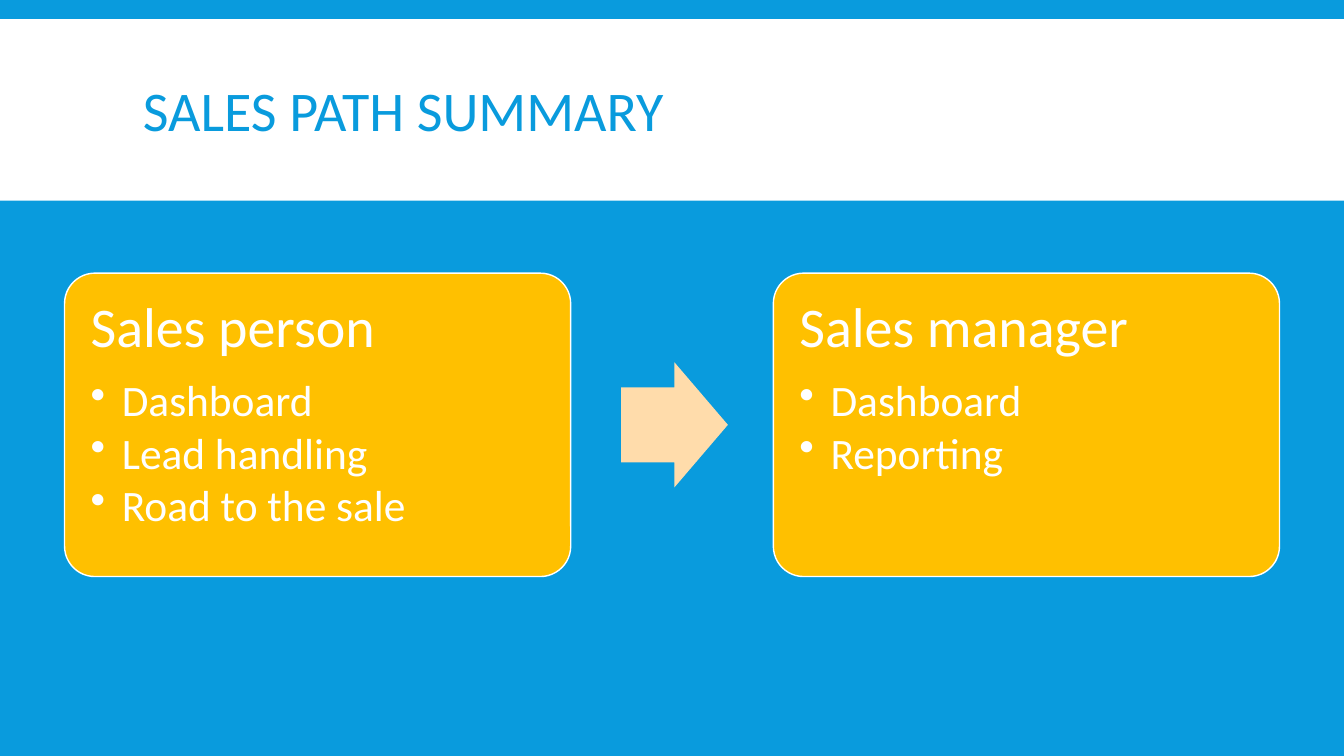
import pptx
import pptx.util
import pptx.dml.color
import pptx.enum.shapes
import pptx.enum.text
from lxml import etree

Inches, Pt = pptx.util.Inches, pptx.util.Pt
KIND = pptx.enum.shapes.MSO_SHAPE
ANCHOR = pptx.enum.text.MSO_ANCHOR
ALIGN = pptx.enum.text.PP_ALIGN

# Content
TITLE = "SALES PATH SUMMARY"
CARDS = [
    ("Sales person", ["Dashboard", "Lead handling", "Road to the sale"]),
    ("Sales manager", ["Dashboard", "Reporting"]),
]
BLUE, WHITE, GOLD, PEACH = "099BDD", "FFFFFF", "FFC000", "FFDCAB"

# Layout in inches
WIDTH, HEIGHT = 13.33, 7.5
CARD_W, CARD_H, TOP = 5.02, 3.01, 2.71
EDGE, STEP = 0.64, 7.03
ARROW_X, ARROW_W, ARROW_H = 6.16, 1.06, 1.24


def color(code):
    return pptx.dml.color.RGBColor.from_string(code)


def add_part(kind, box, fill, line=None, adjust=()):
    part = slide.shapes.add_shape(kind, *map(Inches, box))
    part.shadow.inherit = False
    part.fill.solid()
    part.fill.fore_color.rgb = color(fill)
    if line:
        part.line.color.rgb = color(line)
        part.line.width = Pt(1)
    else:
        part.line.fill.background()
    for i, value in enumerate(adjust):
        part.adjustments[i] = value
    return part


def add_text(frame, text, size=40, ink=WHITE, lead=0.9, after=0, bullet=False):
    first = not frame.paragraphs[0].runs
    para = frame.paragraphs[0] if first else frame.add_paragraph()
    para.alignment = ALIGN.LEFT
    para.line_spacing = lead
    para.space_before = Pt(0)
    para.space_after = Pt(after)
    if bullet:
        para.level = 1
        props = para._p.get_or_add_pPr()
        props.set("marL", str(Inches(0.31)))
        props.set("indent", str(-Inches(0.31)))
        mark = etree.SubElement(props, pptx.oxml.ns.qn("a:buChar"))
        mark.set("char", "•")
    run = para.add_run()
    run.text = text
    run.font.name = "Calibri"
    run.font.size = Pt(size)
    run.font.color.rgb = color(ink)


deck = pptx.Presentation()
deck.slide_width, deck.slide_height = Inches(WIDTH), Inches(HEIGHT)
slide = deck.slides.add_slide(deck.slide_layouts[6])
slide.background.fill.solid()
slide.background.fill.fore_color.rgb = color(BLUE)

# Title band
add_part(KIND.RECTANGLE, (0, 0.19, WIDTH, 1.8), WHITE)
title = slide.shapes.add_textbox(*map(Inches, (1.32, 0.31, 10.7, 1.65))).text_frame
title.word_wrap = True
title.vertical_anchor = ANCHOR.MIDDLE
add_text(title, TITLE, ink=BLUE, lead=0.85)

# Role cards
for i, (role, tasks) in enumerate(CARDS):
    box = (EDGE + i * STEP, TOP, CARD_W, CARD_H)
    card = add_part(KIND.ROUNDED_RECTANGLE, box, GOLD, WHITE, [0.1])
    frame = card.text_frame
    frame.word_wrap = True
    frame.vertical_anchor = ANCHOR.TOP
    frame.margin_left = frame.margin_right = Inches(0.17)
    frame.margin_top = frame.margin_bottom = Inches(0.17)
    add_text(frame, role, after=14)
    for task in tasks:
        add_text(frame, task, size=31, after=4, bullet=True)

# Arrow between the cards
arrow_y = TOP + (CARD_H - ARROW_H) / 2
add_part(KIND.RIGHT_ARROW, (ARROW_X, arrow_y, ARROW_W, ARROW_H), PEACH,
         adjust=[0.6, 0.5])

deck.save("out.pptx")
